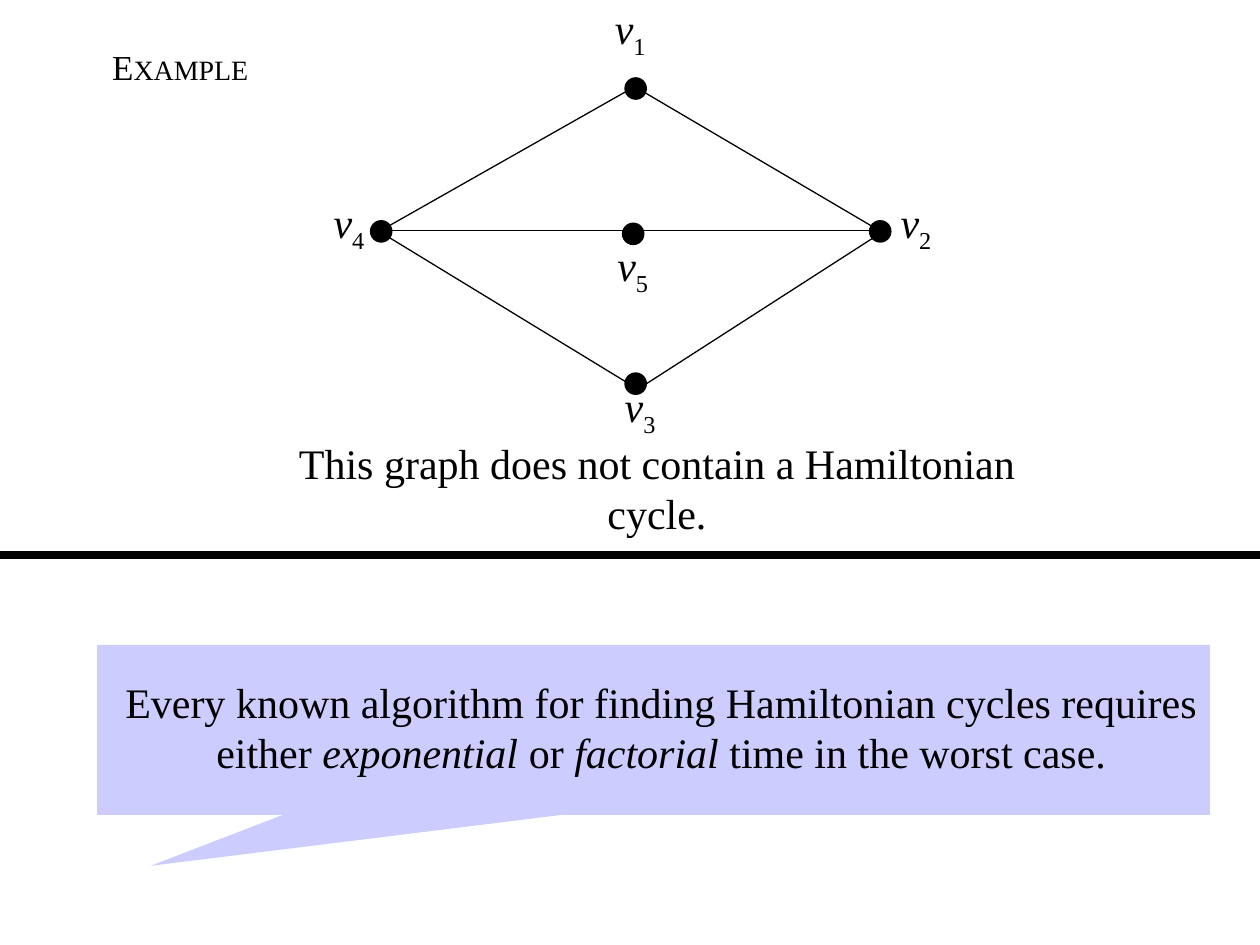
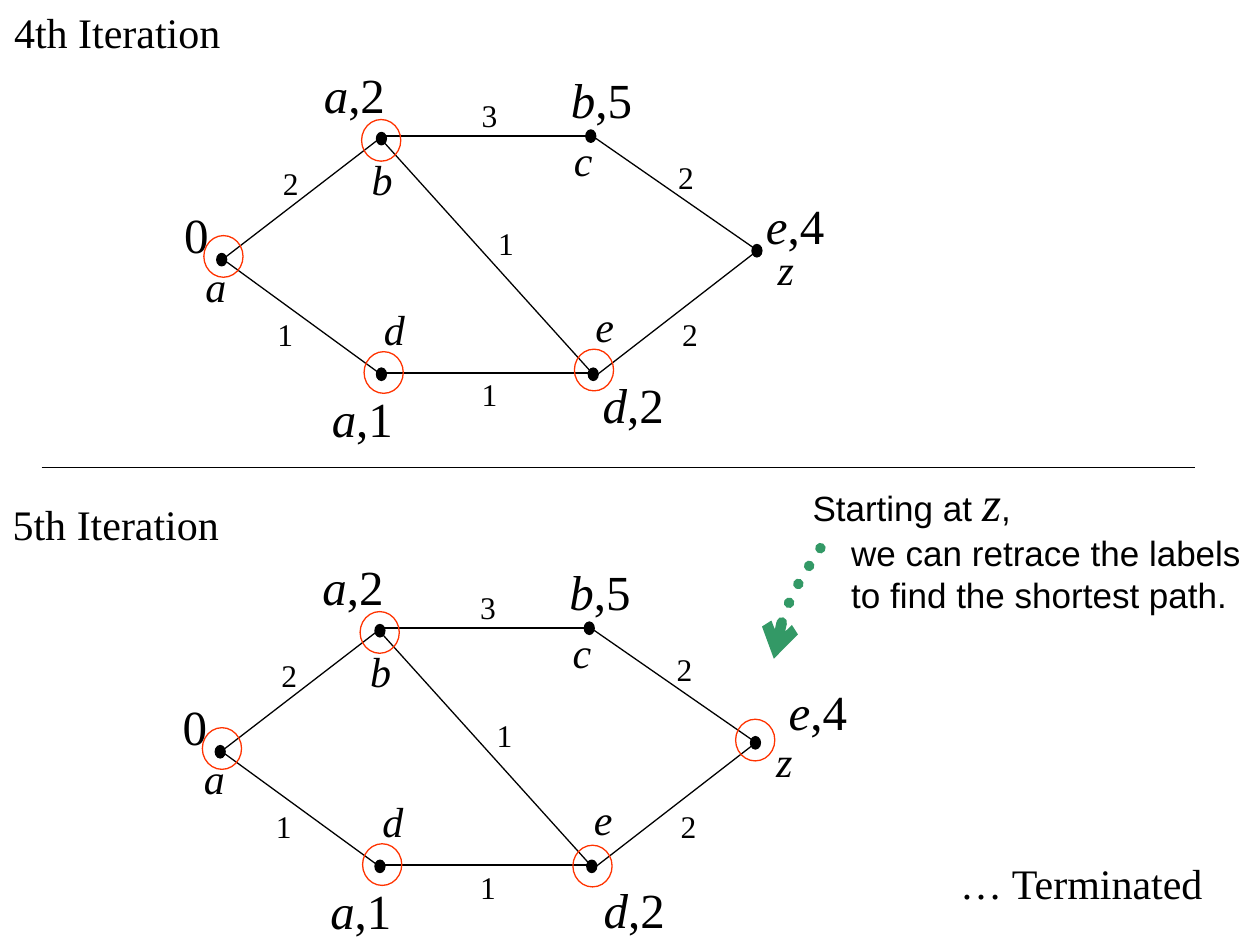
from lxml import etree
from pptx import Presentation
from pptx.dml.color import RGBColor as Rgb
from pptx.enum.dml import MSO_LINE as Dash
from pptx.enum.shapes import MSO_CONNECTOR as Conn, MSO_SHAPE as Kind
from pptx.enum.text import MSO_ANCHOR as Anchor, MSO_AUTO_SIZE as Fit, PP_ALIGN as Align
from pptx.oxml.ns import qn
from pptx.util import Cm, Pt

hues = {"ink": "000000", "note": "CCCCFF", "ring": "FF3300", "arrow": "339966"}
serif, sans = "Times New Roman", "Arial"
it = {"italic": True}
sub = {"baseline": "-25000"}


def style(item, line="ink", width=0.75, fill=None):
    """Give a shape or connector its line and fill, without a shadow."""
    if line:
        item.line.color.rgb = Rgb.from_string(hues[line])
        item.line.width = Pt(width)
    else:
        item.line.fill.background()
    if fill:
        item.fill.solid()
        item.fill.fore_color.rgb = Rgb.from_string(hues[fill])
    elif hasattr(item, "fill"):
        item.fill.background()
    etree.SubElement(item._element.spPr, qn("a:effectLst"))


def text(page, box, paras, size=24, face=serif, slant=False, align=Align.CENTER, wrap=False):
    """Write paragraphs, each a list of (words, run style) pairs."""
    frame = page.shapes.add_textbox(*map(Cm, box)).text_frame
    frame.word_wrap = wrap
    frame.auto_size = Fit.NONE if wrap else Fit.SHAPE_TO_FIT_TEXT
    frame.vertical_anchor = Anchor.MIDDLE
    for n, parts in enumerate(paras):
        para = frame.paragraphs[0] if n == 0 else frame.add_paragraph()
        para.alignment = align
        font = para.font
        font.name, font.size, font.italic = face, Pt(size), slant
        font.color.rgb = Rgb.from_string(hues["ink"])
        for words, looks in parts:
            run = para.add_run()
            run.text = words
            for key, val in looks.items():
                if key == "baseline":
                    run.font._element.set(key, val)
                else:
                    setattr(run.font, key, val)
    return frame


deck = Presentation()
deck.slide_width, deck.slide_height = Cm(25.4), Cm(19.05)
blank = deck.slide_layouts[6]

# Slide 1: graph without a Hamiltonian cycle
page = deck.slides.add_slide(blank)
note = page.shapes.add_shape(Kind.RECTANGULAR_CALLOUT, Cm(1.96), Cm(13), Cm(22.43), Cm(3.43))
note.adjustments[0], note.adjustments[1] = -0.452, 0.799
style(note, line=None, fill="note")

# Edges and divider: start, end, width
lines = [
    (7.67, 4.65, 17.68, 4.65, 0.75),
    (7.67, 4.65, 12.7, 1.8, 0.75),
    (12.8, 1.75, 17.73, 4.65, 0.75),
    (7.62, 4.65, 12.9, 7.87, 0.75),
    (12.9, 7.82, 17.83, 4.65, 0.75),
    (0, 11.18, 25.4, 11.18, 4.5),
]
for *ends, width in lines:
    style(page.shapes.add_connector(Conn.STRAIGHT, *map(Cm, ends)), width=width)

# Vertices: dot corner, label corner
spots = {
    "1": (12.6, 1.57, 12.12, 0),
    "2": (17.53, 4.45, 17.88, 3.91),
    "3": (12.6, 7.52, 12.32, 7.62),
    "4": (7.47, 4.45, 6.45, 3.91),
    "5": (12.55, 4.5, 12.17, 4.78),
}
for num, (x, y, left, top) in spots.items():
    style(page.shapes.add_shape(Kind.OVAL, Cm(x), Cm(y), Cm(0.43), Cm(0.43)), fill="ink")
    text(page, (left, top, 1.17, 1.27), [[("v", it), (num, sub)]])

# Wording
text(page, (2.01, 0.79, 3.25, 1.09), [[("E", {}), ("XAMPLE", {"size": Pt(16)})]], size=20)
text(page, (4.99, 8.69, 16.51, 2.29),
     [[("This graph does not contain a Hamiltonian cycle.", {})]], wrap=True)
text(page, (2.18, 13.51, 22.3, 2.29), [
    [("Every known algorithm for finding Hamiltonian cycles requires", {})],
    [("either", {}), (" exponential ", it), ("or ", {}), ("factorial", it),
     (" time in the worst case.", {})],
])

# Slide 2: last two iterations of the shortest path search
page = deck.slides.add_slide(blank)

# Nodes: dot corner, name corner
nodes = {
    "a": (4.37, 5.11, 3.89, 5.13),
    "b": (7.59, 2.67, 7.24, 2.97),
    "c": (11.81, 2.62, 11.3, 2.59),
    "d": (7.59, 7.42, 7.49, 5.99),
    "e": (11.86, 7.42, 11.73, 5.94),
    "z": (15.16, 4.93, 15.38, 4.78),
}
# Edges: start, end, weight, weight corner
edges = [
    (4.42, 5.28, 7.72, 2.74, "2", 5.44, 3.18),
    (4.5, 5.23, 7.67, 7.54, "1", 5.33, 6.22),
    (7.67, 7.52, 11.94, 7.52, "1", 9.45, 7.44),
    (7.67, 2.74, 11.89, 2.74, "3", 9.45, 1.8),
    (11.94, 2.74, 15.27, 5.05, "2", 13.41, 3.05),
    (15.27, 5.05, 11.99, 7.59, "2", 13.49, 6.22),
    (7.67, 2.79, 11.89, 7.47, "1", 9.78, 4.39),
]
# Labels: source, distance, box, line spacing
tags = {
    "a": ("", "0", 3.45, 3.99, 1.02, 1.45, 1),
    "b": ("a", ",2", 6.27, 1.17, 1.75, 1.45, 1),
    "c": ("b", ",5", 11.25, 1.27, 1.75, 1.45, 1),
    "d": ("a", ",1", 6.43, 7.34, 1.75, 1.8, 1.3),
    "e": ("d", ",2", 11.89, 7.42, 1.75, 1.45, 1),
    "z": ("e", ",4", 15.19, 3.81, 1.68, 1.45, 1),
}
rings = {"a": (4.11, 4.75), "b": (7.29, 2.41), "d": (7.34, 7.09), "e": (11.58, 7.04)}

# Iterations: title, offset of the graph, nudged labels, rings
rounds = [
    ("4th Iteration", 0, 0, {}, rings),
    ("5th Iteration", -0.03, 9.92, {"e": (0.05, 0.26), "z": (0.49, -0.12)},
     rings | {"e": (11.58, 7.12), "z": (14.86, 4.58)}),
]
for title, dx, dy, nudge, marks in rounds:
    text(page, (0.03 + dx, dy, 4.67, 1.27), [[(title, {})]])
    for x1, y1, x2, y2, cost, x, y in edges:
        ends = (x1 + dx, y1 + dy, x2 + dx, y2 + dy)
        style(page.shapes.add_connector(Conn.STRAIGHT, *map(Cm, ends)))
        text(page, (x + dx, y + dy, 0.84, 1.02), [[(cost, {})]], size=18)
    for name, (x, y, left, top) in nodes.items():
        dot = (x + dx, y + dy, 0.2, 0.25)
        style(page.shapes.add_shape(Kind.OVAL, *map(Cm, dot)), fill="ink")
        text(page, (left + dx, top + dy, 0.92, 1.27), [[(name, {})]], slant=True)
    for name, (src, dist, x, y, w, h, gap) in tags.items():
        mx, my = nudge.get(name, (0, 0))
        parts = [(src, it), (dist, {})] if src else [(dist, {})]
        frame = text(page, (x + dx + mx, y + dy + my, w, h), [parts], size=28)
        frame.paragraphs[0].line_spacing = gap
    for x, y in marks.values():
        ring = (x + dx, y + dy, 0.79, 0.84)
        style(page.shapes.add_shape(Kind.OVAL, *map(Cm, ring)), line="ring")

# Divider
style(page.shapes.add_connector(Conn.STRAIGHT, Cm(0.84), Cm(9.42), Cm(24.08), Cm(9.42)))

# Closing remarks
text(page, (18.97, 17.15, 5.66, 1.27), [[("… Terminated", {})]])
frame = text(page, (16.13, 9.4, 9.32, 3.12), [
    [("Starting at ", {}), ("z", {"italic": True, "name": serif, "size": Pt(28)}), (",", {})],
    [("we can retrace the labels", {})],
    [("to find the shortest path.", {})],
], size=20, face=sans, align=Align.LEFT)
for para in frame.paragraphs[1:]:
    props = para._p.get_or_add_pPr()
    props.set("marL", str(Cm(0.78)))
    props.set("indent", "0")

# Dotted arrow to z
curve = [(16.54, 11.05), (16.14, 11.68), (15.85, 12.27), (15.68, 12.8), (15.6, 13.28)]
start, *rest = [(Cm(x), Cm(y)) for x, y in curve]
pen = page.shapes.build_freeform(*start)
pen.add_line_segments(rest, close=False)
arrow = pen.convert_to_shape()
style(arrow, line="arrow", width=6)
arrow.line.dash_style = Dash.ROUND_DOT
edge = arrow.line._get_or_add_ln()
edge.set("cap", "rnd")
etree.SubElement(edge, qn("a:tailEnd"), type="arrow")

deck.save("out.pptx")
